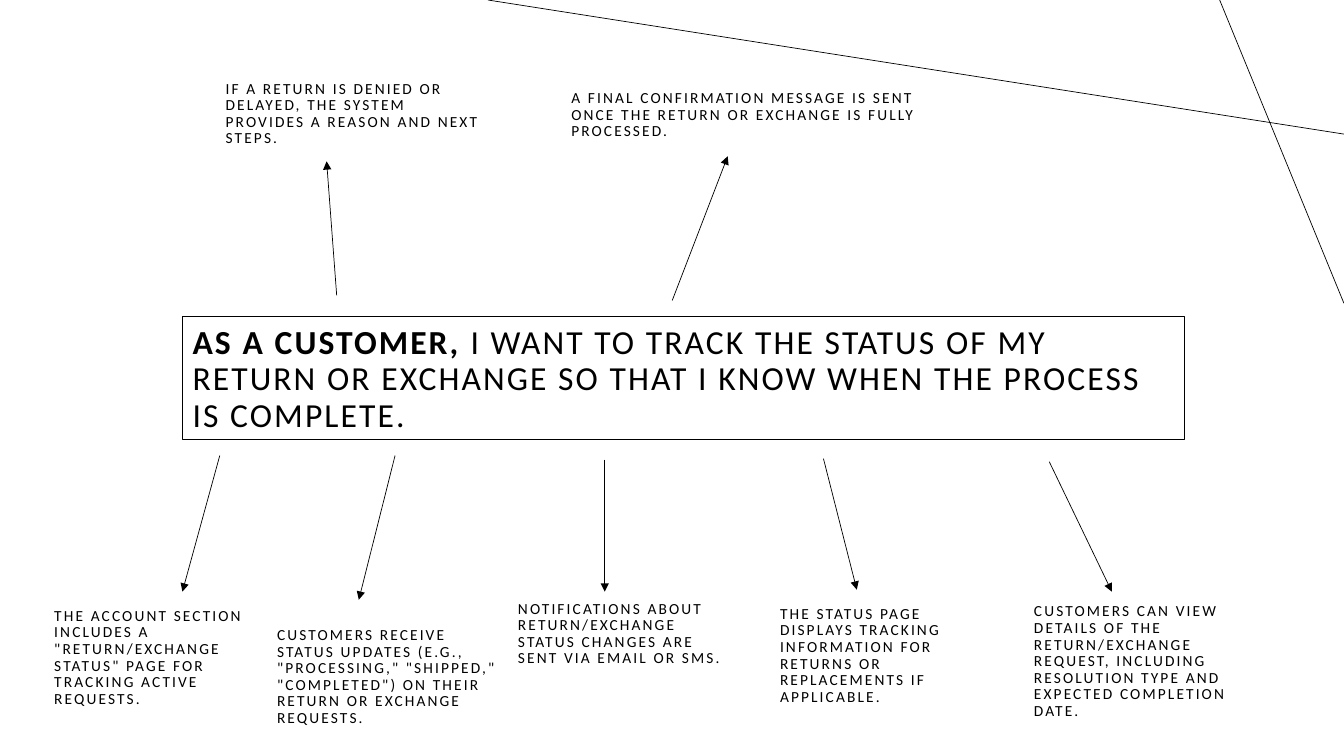
from dataclasses import dataclass

from lxml import etree
from pptx import Presentation
from pptx.dml.color import RGBColor
from pptx.enum.shapes import MSO_CONNECTOR
from pptx.enum.text import MSO_ANCHOR, MSO_AUTO_SIZE, PP_ALIGN
from pptx.oxml.ns import qn
from pptx.util import Pt

STRAIGHT = MSO_CONNECTOR.STRAIGHT
BOTTOM = MSO_ANCHOR.BOTTOM
LEFT = PP_ALIGN.LEFT
FIXED_SIZE = MSO_AUTO_SIZE.NONE

COLORS = {"ink": "000000", "paper": "FFFFFF"}
FONT = "Calibri"
LETTER_SPACING = "150"  # hundredths of a point
Point = tuple[float, float]
Box = tuple[float, float, float, float]


@dataclass
class Criterion:
    """An acceptance criterion and the arrow leading to it."""
    text: str
    box: Box
    arrow_start: Point
    arrow_end: Point


STORY = [
    ("AS A CUSTOMER, ", True),
    ("I WANT TO TRACK THE STATUS OF MY RETURN OR EXCHANGE "
     "SO THAT I KNOW WHEN THE PROCESS IS COMPLETE.", False),
]
STORY_BOX = (130.3, 226.1, 715.7, 87.8)

CORNER_LINES = [((960, 95.8), (348.5, 0)), ((871.2, 0), (960, 216.7))]

CRITERIA = [
    # Below the story, left to right
    Criterion('THE ACCOUNT SECTION INCLUDES A "RETURN/EXCHANGE STATUS" PAGE '
              'FOR TRACKING ACTIVE REQUESTS.',
              (31.7, 428.4, 165.6, 80.6), (157, 325.4), (130.3, 422.6)),
    Criterion('CUSTOMERS RECEIVE STATUS UPDATES (E.G., "PROCESSING," "SHIPPED," '
              '"COMPLETED") ON THEIR RETURN OR EXCHANGE REQUESTS.',
              (190.8, 428.4, 172.1, 94.3), (282.2, 325.4), (256.3, 428.4)),
    Criterion("NOTIFICATIONS ABOUT RETURN/EXCHANGE STATUS CHANGES ARE "
              "SENT VIA EMAIL OR SMS.",
              (362.9, 429.8, 172.1, 50.4), (432, 328.3), (432, 422.6)),
    Criterion("THE STATUS PAGE DISPLAYS TRACKING INFORMATION FOR RETURNS OR "
              "REPLACEMENTS IF APPLICABLE.",
              (550.1, 428.4, 165.6, 79.2), (588.2, 327.6), (612, 421.2)),
    Criterion("CUSTOMERS CAN VIEW DETAILS OF THE RETURN/EXCHANGE REQUEST, "
              "INCLUDING RESOLUTION TYPE AND EXPECTED COMPLETION DATE.",
              (731.5, 423.4, 165.6, 94.3), (749.5, 329.8), (794.2, 422.6)),
    # Above the story
    Criterion("IF A RETURN IS DENIED OR DELAYED, THE SYSTEM PROVIDES A REASON "
              "AND NEXT STEPS.",
              (154.1, 43.9, 195.8, 64.8), (240.5, 211), (233.3, 115.2)),
    Criterion("A FINAL CONFIRMATION MESSAGE IS SENT ONCE THE RETURN OR EXCHANGE "
              "IS FULLY PROCESSED.",
              (401, 49, 279.4, 54.7), (480.2, 214.6), (519.8, 111.6)),
]


def color(name: str) -> RGBColor:
    return RGBColor.from_string(COLORS[name])


def write_text(frame, runs: list[tuple[str, bool]], size: float) -> None:
    frame.word_wrap = True
    frame.auto_size = FIXED_SIZE
    frame.vertical_anchor = BOTTOM
    paragraph = frame.paragraphs[0]
    paragraph.alignment = LEFT
    paragraph.line_spacing = 0.9
    paragraph.font.name = FONT
    paragraph.font.size = Pt(size)
    paragraph.font.color.rgb = color("ink")
    for text, bold in runs:
        run = paragraph.add_run()
        run.text = text
        run.font.bold = bold
        run.font._element.set("spc", LETTER_SPACING)


def draw_line(slide, start: Point, end: Point, arrow: bool = False) -> None:
    line = slide.shapes.add_connector(
        STRAIGHT, *(Pt(value) for value in (*start, *end)))
    line.line.color.rgb = color("ink")
    line.line.width = Pt(0.5)
    if arrow:
        etree.SubElement(line.line._get_or_add_ln(), qn("a:tailEnd"), type="triangle")
    etree.SubElement(line._element.spPr, qn("a:effectLst"))


def draw_story(slide) -> None:
    story = slide.shapes.title
    story.left, story.top, story.width, story.height = map(Pt, STORY_BOX)
    story.fill.solid()
    story.fill.fore_color.rgb = color("paper")
    story.line.color.rgb = color("ink")
    story.line.width = Pt(1)
    write_text(story.text_frame, STORY, 24)


def draw_criterion(slide, criterion: Criterion) -> None:
    draw_line(slide, criterion.arrow_start, criterion.arrow_end, arrow=True)
    note = slide.shapes.add_textbox(*map(Pt, criterion.box))
    write_text(note.text_frame, [(criterion.text, False)], 11)


def main() -> None:
    deck = Presentation()
    deck.slide_width, deck.slide_height = Pt(960), Pt(540)
    slide = deck.slides.add_slide(deck.slide_layouts[5])

    # Decorative lines in the top right corner
    for start, end in CORNER_LINES:
        draw_line(slide, start, end)

    # User story and its acceptance criteria
    draw_story(slide)
    for criterion in CRITERIA:
        draw_criterion(slide, criterion)

    deck.save("out.pptx")


if __name__ == "__main__":
    main()
